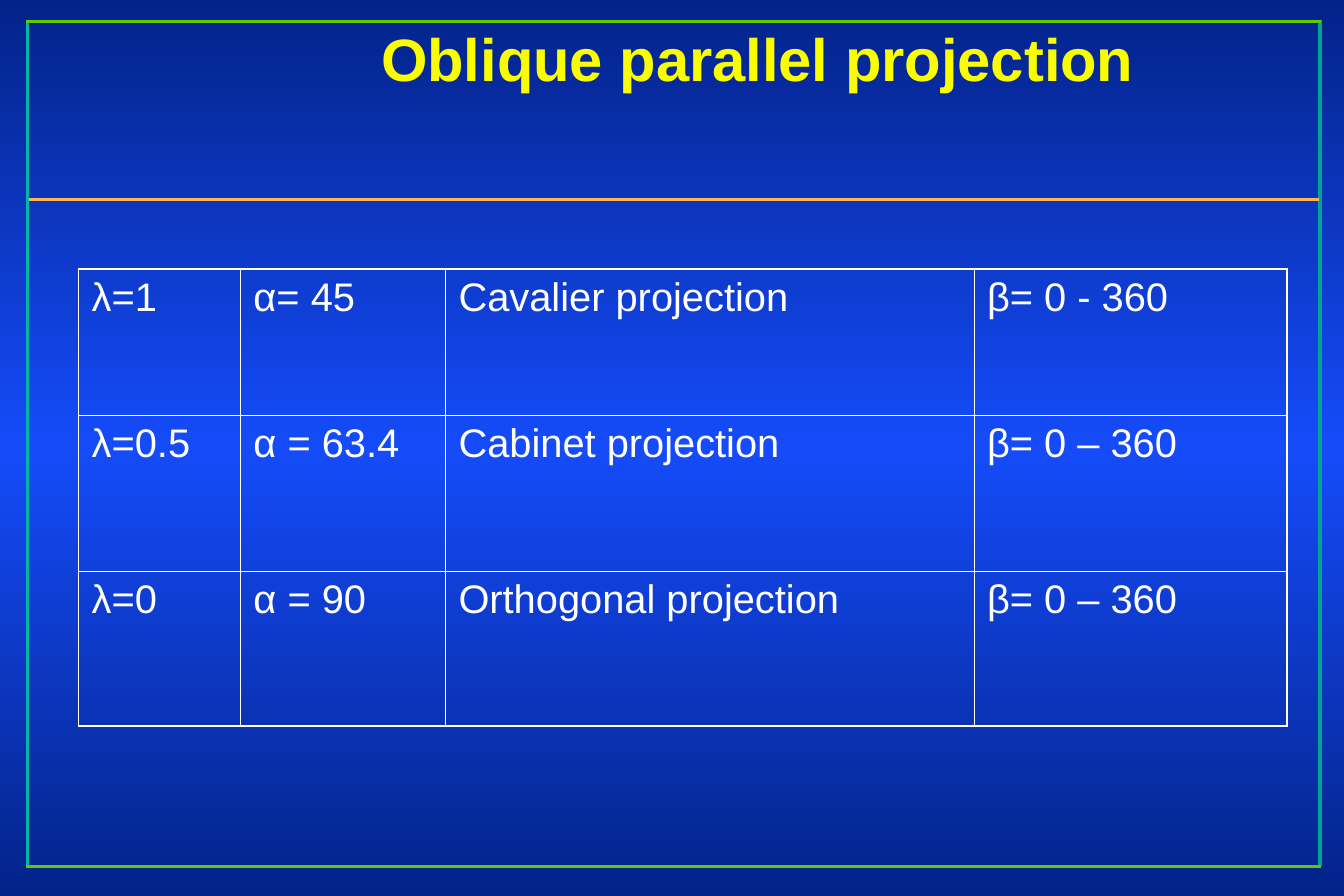
from copy import deepcopy

from lxml.etree import SubElement
from pptx import Presentation
from pptx.dml.color import RGBColor
from pptx.enum.shapes import MSO_CONNECTOR
from pptx.enum.text import MSO_ANCHOR, MSO_AUTO_SIZE, PP_ALIGN
from pptx.oxml.ns import qn
from pptx.util import Cm, Pt

NAVY = RGBColor(0x03, 0x23, 0x89)
BLUE = RGBColor(0x15, 0x4B, 0xF9)
TEAL = RGBColor(0x00, 0xA4, 0x94)
AQUA = RGBColor(0x00, 0xB7, 0xA5)
GREEN = RGBColor(0x60, 0xC9, 0x00)
ORANGE = RGBColor(0xFF, 0xB5, 0x49)
YELLOW = RGBColor(0xFA, 0xFD, 0x00)
WHITE = RGBColor(0xFF, 0xFF, 0xFF)

THIN, THICK = 0.45, 1.08

# Frame and rule under the title: x1, y1, x2, y2 in cm, colour
LINES = [
    (28.07, 0.43, 28.07, 18.42, TEAL),
    (0.58, 0.43, 0.58, 18.44, AQUA),
    (28.09, 18.42, 0.56, 18.42, GREEN),
    (0.56, 0.46, 28.09, 0.46, GREEN),
    (0.61, 4.24, 28.04, 4.24, ORANGE),
]

COL_WIDTHS = [3.44, 4.36, 11.24, 6.66]
ROW_HEIGHTS = [3.12, 3.3, 3.3]
PROJECTIONS = [
    ["λ=1", "α= 45", "Cavalier projection", "β= 0 - 360"],
    ["λ=0.5", "α = 63.4", "Cabinet projection", "β= 0 – 360"],
    ["λ=0", "α = 90", "Orthogonal projection", "β= 0 – 360"],
]


def set_background(s):
    fill = s.background.fill
    fill.gradient()
    fill.gradient_angle = 90
    stop_list = next(s.element.iter(qn("a:gsLst")))
    stop_list.append(deepcopy(stop_list[0]))
    for stop, position, color in zip(fill.gradient_stops, (0, 0.5, 1), (NAVY, BLUE, NAVY)):
        stop.position = position
        stop.color.rgb = color


def add_line(s, x1, y1, x2, y2, color):
    line = s.shapes.add_connector(MSO_CONNECTOR.STRAIGHT, Cm(x1), Cm(y1), Cm(x2), Cm(y2))
    line.line.color.rgb = color
    line.line.width = Pt(2)
    SubElement(line.element.spPr, qn("a:effectLst"))


def write(tf, text, size=24, color=WHITE, bold=False, spacing=None):
    p = tf.paragraphs[0]
    p.alignment = PP_ALIGN.LEFT
    p.line_spacing = spacing
    r = p.add_run()
    r.text = text
    r.font.name = "Arial"
    r.font.size = Pt(size)
    r.font.bold = bold
    r.font.color.rgb = color


def add_title(s, text):
    sp = s.shapes.title
    sp.left, sp.top, sp.width, sp.height = Cm(7.85), Cm(0.64), Cm(19.76), Cm(1.47)
    tf = sp.text_frame
    tf.word_wrap = True
    tf.auto_size = MSO_AUTO_SIZE.NONE
    tf.vertical_anchor = MSO_ANCHOR.BOTTOM
    write(tf, text, size=36, color=YELLOW, bold=True, spacing=1.04)


def set_border(cell, side, width):
    ln = SubElement(cell._tc.get_or_add_tcPr(), qn(f"a:ln{side}"), w=str(Pt(width)))
    SubElement(SubElement(ln, qn("a:solidFill")), qn("a:srgbClr"), val=str(WHITE))


def add_projection_table(s):
    n_rows, n_cols = len(ROW_HEIGHTS), len(COL_WIDTHS)
    frame = s.shapes.add_table(n_rows, n_cols, Cm(1.67), Cm(5.72),
                               Cm(sum(COL_WIDTHS)), Cm(sum(ROW_HEIGHTS)))
    table = frame.table
    table.first_row = table.horz_banding = False
    for column, width in zip(table.columns, COL_WIDTHS):
        column.width = Cm(width)
    for row, height in zip(table.rows, ROW_HEIGHTS):
        row.height = Cm(height)
    for i, texts in enumerate(PROJECTIONS):
        for j, text in enumerate(texts):
            cell = table.cell(i, j)
            cell.margin_left = cell.margin_right = Cm(0.28)
            cell.margin_top = cell.margin_bottom = Cm(0.13)
            # Thick outer edges, thin inner grid
            outer = {"L": j == 0, "R": j == n_cols - 1, "T": i == 0, "B": i == n_rows - 1}
            for side, is_outer in outer.items():
                set_border(cell, side, THICK if is_outer else THIN)
            cell.fill.background()
            write(cell.text_frame, text)


def main():
    prs = Presentation()
    prs.slide_width, prs.slide_height = Cm(28.58), Cm(19.05)
    s = prs.slides.add_slide(prs.slide_layouts.get_by_name("Title Only"))
    set_background(s)
    for line in LINES:
        add_line(s, *line)
    add_title(s, "Oblique parallel projection")
    add_projection_table(s)
    prs.save("out.pptx")


if __name__ == "__main__":
    main()
